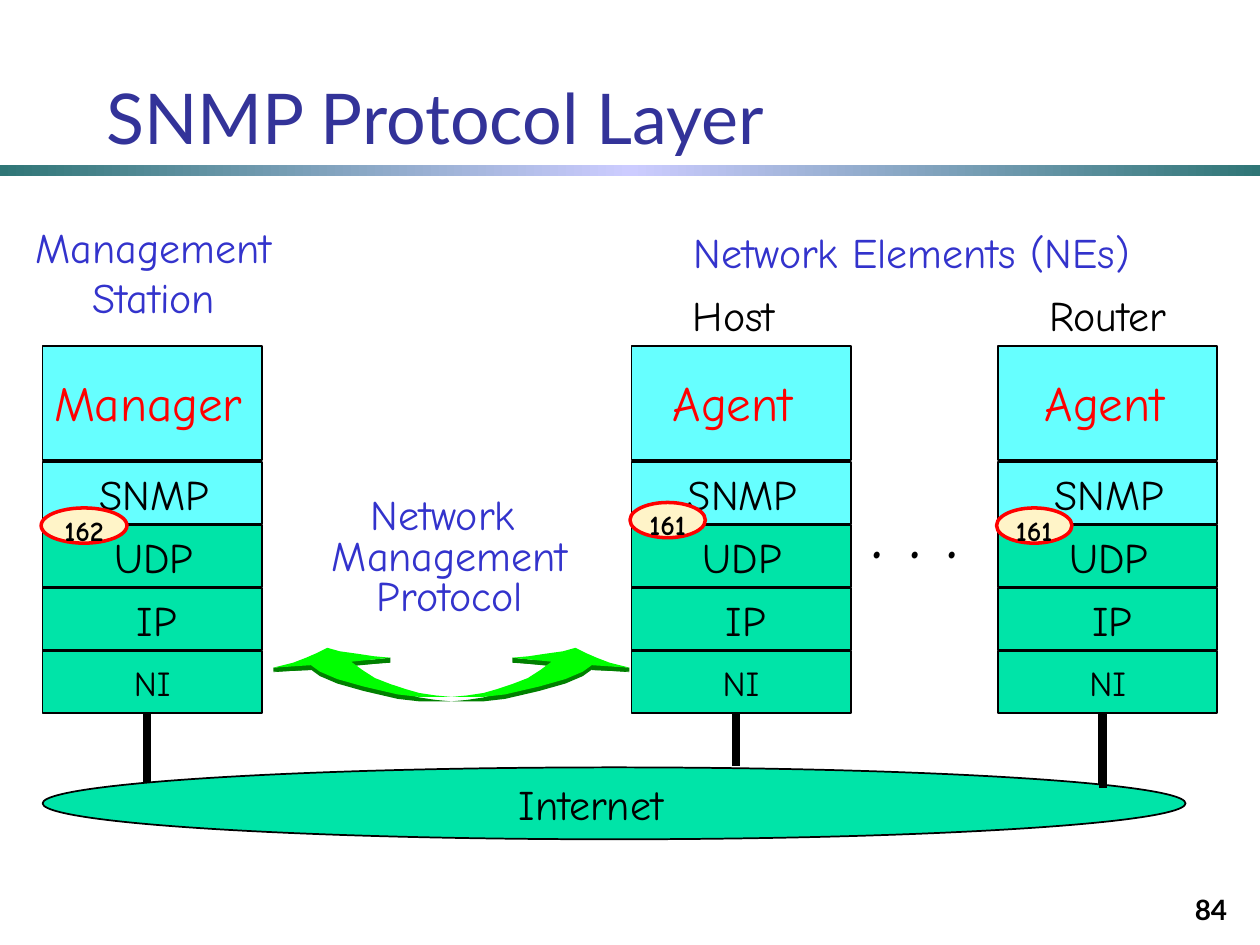
from copy import deepcopy

from lxml import etree
from pptx import Presentation
from pptx.dml.color import RGBColor
from pptx.enum.shapes import MSO_CONNECTOR, MSO_SHAPE
from pptx.enum.text import MSO_ANCHOR, MSO_AUTO_SIZE, PP_ALIGN
from pptx.oxml.ns import qn
from pptx.util import Cm, Pt

RECT, OVAL = MSO_SHAPE.RECTANGLE, MSO_SHAPE.OVAL
STRAIGHT = MSO_CONNECTOR.STRAIGHT
TOP, MIDDLE, BOTTOM = MSO_ANCHOR.TOP, MSO_ANCHOR.MIDDLE, MSO_ANCHOR.BOTTOM
LEFT, CENTER, RIGHT = PP_ALIGN.LEFT, PP_ALIGN.CENTER, PP_ALIGN.RIGHT
GROW, FIXED = MSO_AUTO_SIZE.SHAPE_TO_FIT_TEXT, MSO_AUTO_SIZE.NONE

SANS, HAND = "Lato", "Comic Neue"
BLACK, RED, BLUE = "000000", "FF0000", "3333CC"
CYAN, GREEN, CREAM = "66FFFF", "00E4A8", "FFF4C8"
LIME, SHADE = "00FF00", "008000"
TEAL, LILAC = "2F7676", "CCCCFF"

STACK_W, ROW_H, STEP = 4.42, 1.24, 1.27
ROLE_TOP, ROLE_H, ROWS_TOP = 6.98, 2.29, 9.32
# name, fill, label offset and label width
ROWS = [("SNMP", CYAN, 0.89, 2.97), ("UDP", GREEN, 1.19, 2.18),
        ("IP", GREEN, 1.65, 1.42), ("NI", GREEN, None, None)]
# left, role, role offset, role width, port, port top, port width, line end
STACKS = [(0.86, "Manager", -0.02, 4.47, "162", 10.24, 1.73, 15.88),
          (12.73, "Agent", 0.58, 3.28, "161", 10.13, 1.52, 15.45),
          (20.12, "Agent", 0.69, 3.28, "161", 10.24, 1.52, 15.88)]

# Right half of the double arrow: x from its middle, y on the slide
ARROW_MID, DEPTH = 9.1, 0.09
ARROW = [(0, 14.05), (0.64, 14.05), (1.08, 14), (1.77, 13.84), (2.3, 13.69),
         (2.65, 13.54), (2.83, 13.41), (3.59, 13.46), (3.19, 13.36),
         (2.93, 13.26), (2.7, 13.16), (2.5, 13.06), (2.25, 13.13),
         (1.89, 13.18), (1.56, 13.23), (1.23, 13.26), (2.02, 13.34),
         (1.79, 13.51), (1.54, 13.67), (1.23, 13.79), (0.93, 13.89),
         (0.65, 13.97), (0.32, 14.02)]
BARB = [(1.23, 13.36), (1.23, 13.26), (2.02, 13.34), (1.94, 13.41)]
TIP = [(3.59, 13.54), (3.59, 13.46), (2.83, 13.39), (2.83, 13.51)]


def color(code):
    return RGBColor.from_string(code)


def write(frame, text, size=24, font=HAND, ink=BLACK, bold=False, align=LEFT,
          anchor=TOP, wrap=False, fit=FIXED, space=None, inset=None):
    frame.word_wrap = wrap
    frame.auto_size = fit
    frame.vertical_anchor = anchor
    if inset is not None:
        frame.margin_left = frame.margin_right = Cm(inset)
        frame.margin_top = frame.margin_bottom = Cm(inset)
    for i, line in enumerate(text.split("\n")):
        para = frame.add_paragraph() if i else frame.paragraphs[0]
        para.alignment = align
        if space:
            para.line_spacing = space
        run = para.add_run()
        run.text = line
        run.font.size = Pt(size)
        run.font.name = font
        run.font.bold = bold
        run.font.color.rgb = color(ink)


def label(slide, text, x, y, w, h, **style):
    box = slide.shapes.add_textbox(Cm(x), Cm(y), Cm(w), Cm(h))
    write(box.text_frame, text, **style)


def paint(shape, fill, line=None, width=1):
    shape.shadow.inherit = False
    shape.fill.solid()
    shape.fill.fore_color.rgb = color(fill)
    if line:
        shape.line.color.rgb = color(line)
        shape.line.width = Pt(width)
    else:
        shape.line.fill.background()


def block(slide, kind, x, y, w, h, fill, line=BLACK, width=1):
    shape = slide.shapes.add_shape(kind, Cm(x), Cm(y), Cm(w), Cm(h))
    paint(shape, fill, line, width)
    return shape


def cable(slide, x, top, end):
    line = slide.shapes.add_connector(STRAIGHT, Cm(x), Cm(top), Cm(x), Cm(end))
    line.line.color.rgb = color(BLACK)
    line.line.width = Pt(4.5)
    etree.SubElement(line._element.spPr, qn("a:effectLst"))


def outline(slide, points, side, fill, drop=0):
    """Draw half-arrow points on the right (side 1) or the left (side -1)."""
    spots = [(Cm(ARROW_MID + side * x), Cm(y + drop)) for x, y in points]
    pen = slide.shapes.build_freeform(*spots[0])
    pen.add_line_segments(spots[1:], close=True)
    paint(pen.convert_to_shape(), fill)


def arrow(slide):
    for side in (1, -1):
        outline(slide, BARB, side, SHADE)
        outline(slide, TIP, side, SHADE)
        outline(slide, ARROW, side, SHADE, DEPTH)
        outline(slide, ARROW, side, LIME)


def band(slide):
    bar = block(slide, RECT, 0, 3.32, 25.4, 0.22, TEAL, None)
    bar.fill.gradient()
    bar.fill.gradient_angle = 0
    first = bar._element.spPr.find(".//" + qn("a:gs"))
    first.addnext(deepcopy(first))
    for stop, code, spot in zip(bar.fill.gradient_stops,
                                (TEAL, LILAC, TEAL), (0, 0.5, 1)):
        stop.color.rgb = color(code)
        stop.position = spot


def stack(slide, x, role, shift, width, port, port_top, port_w, end):
    """Draw one protocol stack with its port and its cable."""
    cable(slide, x + 2.1, 14.4, end)
    block(slide, RECT, x, ROLE_TOP, STACK_W, ROLE_H, CYAN)
    label(slide, role, x + shift, 7.39, width, 1.45, size=28, ink=RED, fit=GROW)
    for i, (name, fill, inner, size) in enumerate(ROWS):
        y = ROWS_TOP + i * STEP
        row = block(slide, RECT, x, y, STACK_W, ROW_H, fill)
        if inner is None:
            write(row.text_frame, name, size=20, align=CENTER, anchor=MIDDLE)
        else:
            label(slide, name, x + inner, y, size, STEP, fit=GROW)
    oval = block(slide, OVAL, x - 0.03, port_top, port_w, 0.71, CREAM, RED, 2)
    write(oval.text_frame, port, size=16, bold=True, align=CENTER,
          wrap=True, inset=0)


def main():
    deck = Presentation()
    deck.slide_width, deck.slide_height = Cm(25.4), Cm(19.05)
    slide = deck.slides.add_slide(deck.slide_layouts[6])

    band(slide)
    label(slide, "SNMP Protocol Layer", 1.9, 0.91, 23.5, 2.41, size=40,
          font=SANS, ink="333399", anchor=BOTTOM, wrap=True)
    label(slide, "84", 19.71, 17.53, 5.28, 1.27, size=16, font=SANS, bold=True,
          align=RIGHT, anchor=BOTTOM, wrap=True)

    for parts in STACKS:
        stack(slide, *parts)
    block(slide, OVAL, 0.86, 15.47, 23.04, 1.45, GREEN)
    cable(slide, 22.23, 14.4, 15.88)
    cable(slide, 2.97, 14.4, 15.75)
    label(slide, "Internet", 10.21, 15.57, 3.99, 1.27, fit=GROW)
    label(slide, ". . .", 17.32, 9.58, 2.59, 2.11, size=44, fit=GROW)

    label(slide, "Management\nStation", 0.38, 4.34, 5.44, 2.29, ink=BLUE,
          align=CENTER, fit=GROW)
    label(slide, "Network Elements (NEs)", 13.74, 4.45, 10.26, 1.27, ink=BLUE,
          fit=GROW)
    label(slide, "Host", 13.72, 5.72, 2.41, 1.27, fit=GROW)
    label(slide, "Router", 20.9, 5.72, 3.2, 1.27, fit=GROW)
    arrow(slide)
    label(slide, "Network \nManagement\nProtocol", 6.35, 9.93, 5.44, 2.69,
          ink=BLUE, align=CENTER, fit=GROW, space=0.8)

    deck.save("out.pptx")


if __name__ == "__main__":
    main()
